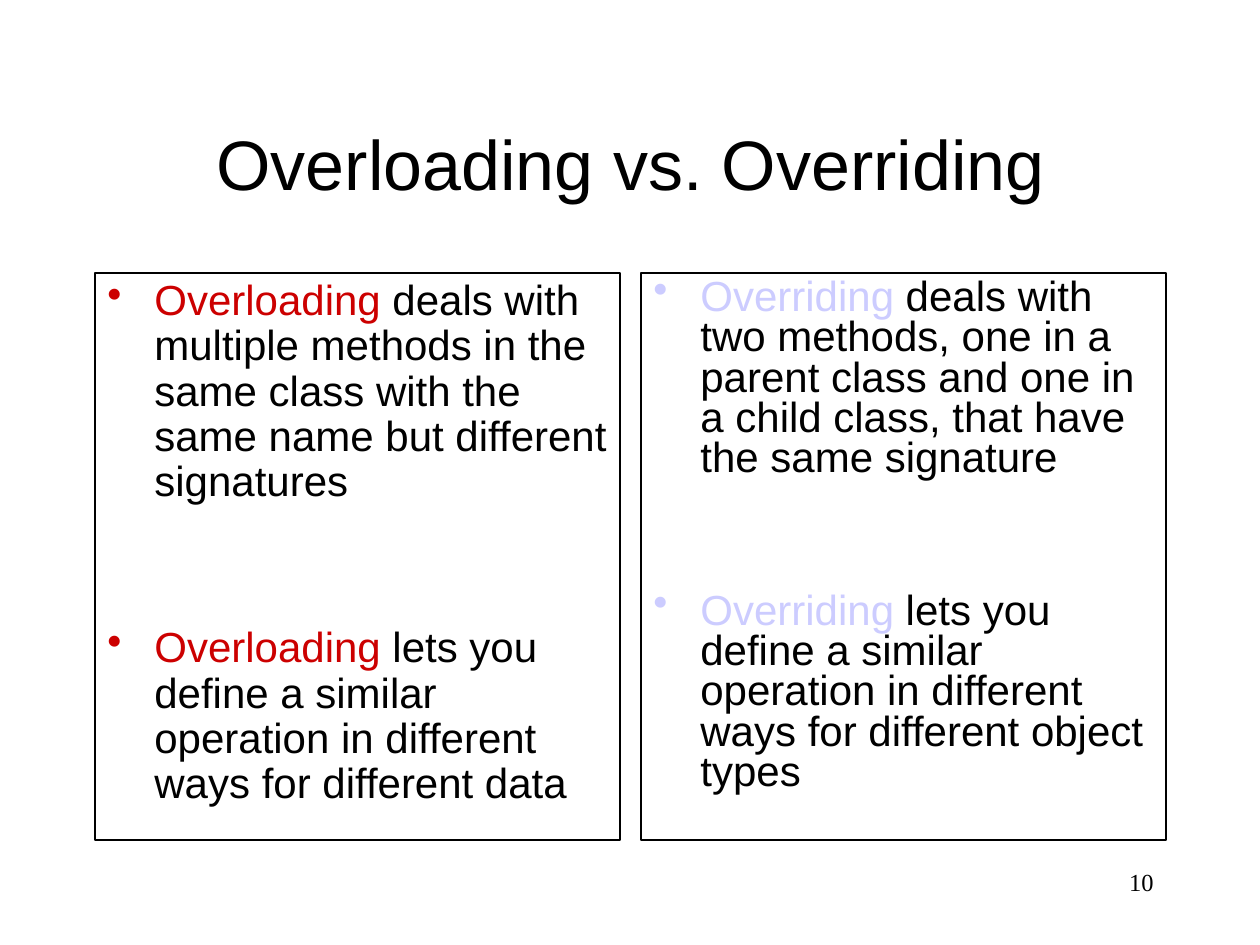
"""Build the slide that compares overloading with overriding."""
from lxml import etree
from pptx import Presentation
from pptx import util as u
from pptx.dml.color import RGBColor
from pptx.enum import shapes, text
from pptx.oxml.ns import qn

PX = 914400 / 126
BLACK = "000000"
TITLE = ("Overloading vs. Overriding", (95, 84, 1071, 158),
         "Arial", 40, text.PP_ALIGN.CENTER, text.MSO_ANCHOR.MIDDLE)
PAGE = ("10", (903, 861, 263, 63),
        "Times New Roman", 14, text.PP_ALIGN.RIGHT, text.MSO_ANCHOR.TOP)
CARDS = [
    {"term": "Overloading", "color": "CC0000", "line": 0.9, "gap": 69, "points": [
        " deals with multiple methods in the same class with the same name but different signatures",
        " lets you define a similar operation in different ways for different data"]},
    {"term": "Overriding", "color": "CCCCFF", "line": 0.8, "gap": 64, "points": [
        " deals with two methods, one in a parent class and one in a child class, that have the same signature",
        " lets you define a similar operation in different ways for different object types"]},
]
LEFT, TOP, WIDE, HIGH, STEP, HANG = 95, 273, 525, 567, 546, 47


def emu(px):
    """Turn px into EMU."""
    return u.Emu(round(px * PX))


def rgb(code):
    """Turn a hex string into a colour."""
    return RGBColor.from_string(code)


def put(para, words, face, size, color):
    """Add a run of formatted text."""
    run = para.add_run()
    run.text = words
    for key, val in {"name": face, "size": u.Pt(size)}.items():
        setattr(run.font, key, val)
    run.font.color.rgb = rgb(color)


def label(slide, words, place, face, size, align, anchor):
    """Add a one-line text box."""
    frame = slide.shapes.add_textbox(*map(emu, place)).text_frame
    frame.word_wrap = True
    frame.vertical_anchor = anchor
    para = frame.paragraphs[0]
    para.alignment = align
    put(para, words, face, size, BLACK)


def bullet(para, color):
    """Give a paragraph a coloured hanging bullet."""
    props = para._p.get_or_add_pPr()
    props.set("marL", str(emu(HANG)))
    props.set("indent", str(-emu(HANG)))
    tint = etree.SubElement(props, qn("a:buClr"))
    etree.SubElement(tint, qn("a:srgbClr"), val=color)
    etree.SubElement(props, qn("a:buChar"), char="•")


def card(slide, left, data):
    """Add an outlined box with its bullet points."""
    box = slide.shapes.add_shape(
        shapes.MSO_SHAPE.RECTANGLE, *map(emu, (left, TOP, WIDE, HIGH)))
    box.shadow.inherit = False
    box.fill.background()
    box.line.color.rgb = rgb(BLACK)
    box.line.width = u.Pt(0.75)
    frame = box.text_frame
    frame.word_wrap = True
    frame.vertical_anchor = text.MSO_ANCHOR.TOP
    for num, point in enumerate(data["points"]):
        para = frame.add_paragraph() if num else frame.paragraphs[0]
        bullet(para, data["color"])
        style = {"alignment": text.PP_ALIGN.LEFT, "line_spacing": data["line"],
                 "space_before": u.Pt(data["gap"] if num else 0)}
        for key, val in style.items():
            setattr(para, key, val)
        put(para, data["term"], "Arial", 24, data["color"])
        put(para, point, "Arial", 24, BLACK)


def main():
    """Build and save the slide."""
    deck = Presentation()
    deck.slide_width, deck.slide_height = emu(1260), emu(945)
    slide = deck.slides.add_slide(deck.slide_layouts[6])
    label(slide, *PAGE)
    label(slide, *TITLE)
    for num, data in enumerate(CARDS):
        card(slide, LEFT + num * STEP, data)
    deck.save("out.pptx")


if __name__ == "__main__":
    main()
